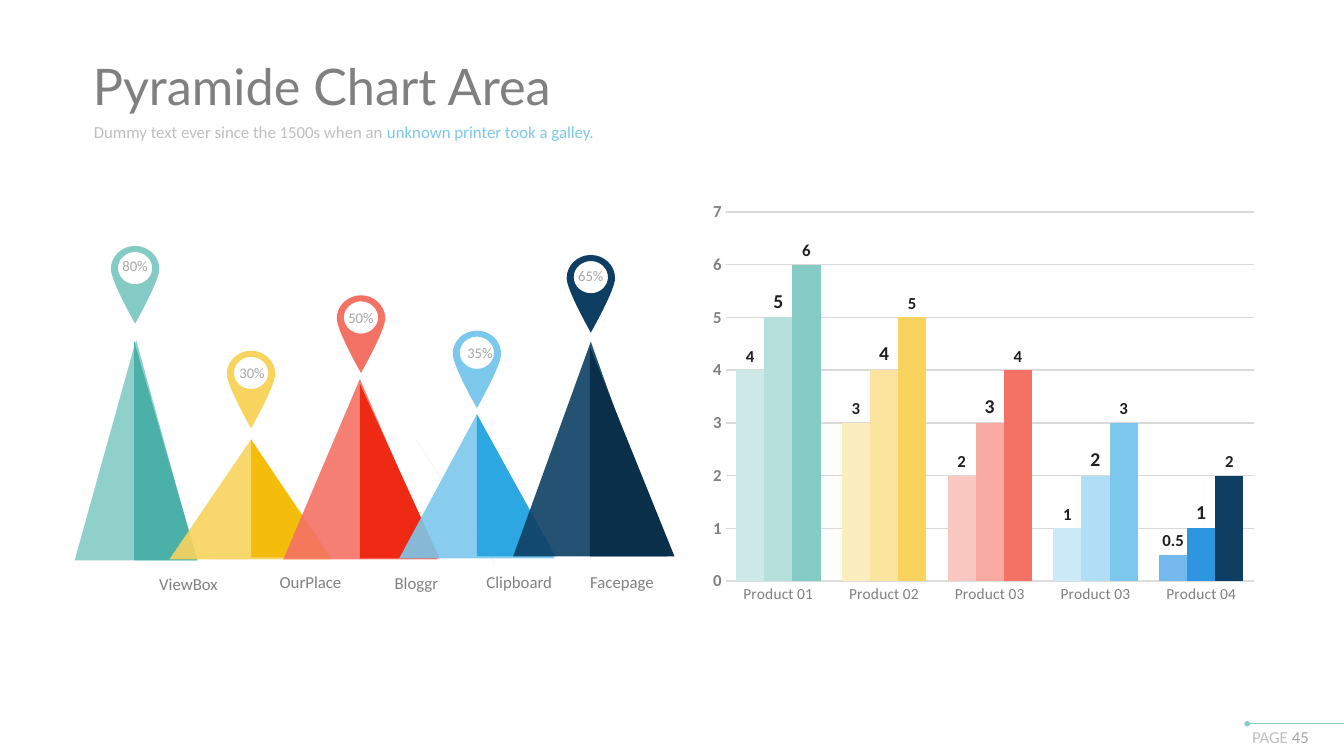
from lxml import etree
from pptx import Presentation
from pptx import util as u
from pptx.chart.data import CategoryChartData
from pptx.dml.color import RGBColor
from pptx.enum import chart as ch, shapes, text
from pptx.oxml import parse_xml
from pptx.oxml.ns import nsdecls, qn

GREY, SILVER, ASH, TEAL, SKY = "808080", "BFBFBF", "A6A6A6", "84CBC5", "7CC8EC"

# name, percent, light and dark colour,
# pin: centre x, top, percent shift x and y
# front: apex x, top, left, right, base;  side: apex x, top, right, base
# caption: left, top
PYRAMIDS = [
    ("ViewBox", "80%", TEAL, "4BB1A8", (60, 0, 0, 8),
     (61, 93, 0, 121, 312), (59, 94, 122, 312), (42, 310)),
    ("OurPlace", "30%", "F8D35E", "F4BD0C", (175, 104, 1, 10),
     (175, 192, 94, 254, 311), (175, 192, 254, 309), (163, 308)),
    ("Bloggr", "50%", "F47264", "EE2914", (284, 49, 0, 10),
     (283, 132, 207, 360, 311), (283, 137, 362, 310), (268, 309)),
    ("Clipboard", "35%", SKY, "2DA7E1", (399, 84, 3, 10),
     (399, 167, 322, 476, 310), (399, 167, 477, 308), (370, 308)),
    ("Facepage", "65%", "0E3F63", "0A2F4A", (512, 9, 0, 9),
     (512, 95, 435, 588, 308), (511, 100, 595, 308), (472, 308)),
]

# curve points of a pin around its top middle
DROP = [(0, 0), (-13, 0), (-24, 10), (-24, 23), (-24, 35), (0, 77), (0, 77),
        (0, 77), (24, 35), (24, 23), (24, 10), (13, 0), (0, 0)]
HOLE = [(0, 38), (-9, 38), (-17, 31), (-17, 22), (-17, 13), (-9, 6), (0, 6),
        (9, 6), (17, 13), (17, 22), (17, 31), (9, 38), (0, 38)]

CATEGORIES = ["Product 01", "Product 02", "Product 03", "Product 03", "Product 04"]
# values, label size, column colours
SERIES = [
    ((4, 3, 2, 1, 0.5), 12, ("CEEAE8", "FCEDBF", "FBC7C1", "CBE9F7", "74B9EB")),
    ((5, 4, 3, 2, 1), 14, ("B5E0DC", "FBE59E", "F8AAA2", "B0DEF4", "2E96E1")),
    ((6, 5, 4, 3, 2), 12, (TEAL, "F8D35E", "F47264", SKY, "0E3F63")),
]


def px(n):
    """100 px to the inch."""
    return u.Emu(round(n * 9144))


def rgb(code):
    return RGBColor.from_string(code)


def place(sp, x, y, w, h):
    sp.left, sp.top, sp.width, sp.height = px(x), px(y), px(w), px(h)


def set_font(f, size, color, name="Calibri", bold=False):
    f.size, f.name, f.bold = u.Pt(size), name, bold
    f.color.rgb = rgb(color)


def write(tf, runs, size, name="Calibri", align=text.PP_ALIGN.LEFT,
          anchor=text.MSO_ANCHOR.TOP):
    tf.word_wrap = True
    tf.auto_size = text.MSO_AUTO_SIZE.NONE
    tf.vertical_anchor = anchor
    p = tf.paragraphs[0]
    p.alignment = align
    p.space_before = u.Pt(0)
    for words, color in runs:
        r = p.add_run()
        r.text = words
        set_font(r.font, size, color, name)
    return p


def add_text(s, box, runs, size, **kw):
    sp = s.shapes.add_textbox(*map(px, box))
    write(sp.text_frame, runs, size, **kw)
    return sp


def outline(s, contours, color, opacity=100):
    """Filled shape from closed contours given in px."""
    first, *others = [[(px(x), px(y)) for x, y in c] for c in contours]
    fb = s.shapes.build_freeform(*first[0])
    fb.add_line_segments(first[1:])
    for c in others:
        fb.move_to(*c[0])
        fb.add_line_segments(c[1:])
    sp = fb.convert_to_shape()
    sp.shadow.inherit = False
    sp.line.fill.background()
    sp.fill.solid()
    sp.fill.fore_color.rgb = rgb(color)
    if opacity < 100:
        clr = sp.fill._xPr.find(qn("a:solidFill"))[0]
        etree.SubElement(clr, qn("a:alpha")).set("val", str(opacity * 1000))
    return sp


def pin(s, cx, top, color):
    sp = outline(s, [[(cx + x, top + y) for x, y in c] for c in (DROP, HOLE)], color)
    # every three points become one Bezier curve
    lines = list(sp._element.iter(qn("a:lnTo")))
    for i in range(0, len(lines), 3):
        bend = etree.Element(qn("a:cubicBezTo"))
        lines[i].addprevious(bend)
        for line in lines[i:i + 3]:
            bend.append(line[0])
            line.getparent().remove(line)


def header(s, x, y, w):
    title, body = s.placeholders[0], s.placeholders[1]
    place(title, x, y, w, 66)
    write(title.text_frame, [("Pyramide Chart Area", GREY)], 36, name="Lato")
    place(body, x + 1, y + 66, w - 113, 48)
    p = write(body.text_frame,
              [("Dummy text ever since the 1500s when an ", SILVER),
               ("unknown printer took a galley.", SKY)], 12)
    pPr = p._p.get_or_add_pPr()
    pPr.set("marL", "0")
    pPr.set("indent", "0")
    etree.SubElement(pPr, qn("a:buNone"))


def pyramid_area(s, x, y):
    # hairline behind the pyramids
    start, end = (x + 338, y + 191), (x + 417, y + 315)
    outline(s, [[start, end, start]], "CCCCCC")
    for name, percent, light, dark, marker, front, side, caption in PYRAMIDS:
        ax, top, left, right, base = front
        outline(s, [[(x + ax, y + top), (x + right, y + base), (x + left, y + base)]],
                light, 90)
        ax, top, right, base = side
        outline(s, [[(x + ax, y + top), (x + ax, y + base), (x + right, y + base)]], dark)
        # pin with its percentage
        cx, top, dx, dy = marker
        pin(s, x + cx, y + top, light)
        sp = add_text(s, (x + cx - 20 + dx, y + top + dy, 40, 24), [(percent, ASH)],
                      10.5, align=text.PP_ALIGN.CENTER)
        tf = sp.text_frame
        tf.margin_left = tf.margin_right = px(5)
        tf.margin_top = tf.margin_bottom = px(3)
        add_text(s, (x + caption[0], y + caption[1], 142, 51), [(name, GREY)], 12,
                 align=text.PP_ALIGN.CENTER, anchor=text.MSO_ANCHOR.MIDDLE)


def column_chart(s, x, y, w, h):
    data = CategoryChartData()
    data.categories = CATEGORIES
    for i, (values, _, _) in enumerate(SERIES, 1):
        data.add_series(f"Series {i}", values)
    chart = s.shapes.add_chart(ch.XL_CHART_TYPE.COLUMN_CLUSTERED,
                               *map(px, (x, y, w, h)), data).chart
    chart.has_legend = chart.has_title = False
    set_font(chart.font, 10, GREY, "Lato")

    # axes
    cat, val = chart.category_axis, chart.value_axis
    for axis, size, bold in ((cat, 11, False), (val, 12, True)):
        axis.major_tick_mark = axis.minor_tick_mark = ch.XL_TICK_MARK.NONE
        set_font(axis.tick_labels.font, size, GREY, bold=bold)
    val.minimum_scale, val.maximum_scale, val.major_unit = 0, 7, 1
    val.format.line.fill.background()
    val.has_major_gridlines = True
    for line, color in ((cat.format.line, "DDDDDD"),
                        (val.major_gridlines.format.line, "D9D9D9")):
        line.color.rgb = rgb(color)
        line.width = u.Pt(1)

    # columns and their labels
    plot = chart.plots[0]
    plot.gap_width, plot.overlap, plot.vary_by_categories = 75, 0, False
    for ser, (_, size, colors) in zip(plot.series, SERIES):
        ser.format.fill.solid()
        ser.format.fill.fore_color.rgb = rgb("FFFFFF")
        for i, color in enumerate(colors):
            fill = ser.points[i].format.fill
            fill.solid()
            fill.fore_color.rgb = rgb(color)
        labels = ser.data_labels
        labels.show_value = True
        labels.position = ch.XL_LABEL_POSITION.OUTSIDE_END
        set_font(labels.font, size, "1F1F1F", bold=True)

    # inner plot area as shares of the chart
    area = chart.element.find(".//" + qn("c:plotArea"))
    for old in area.findall(qn("c:layout")):
        area.remove(old)
    parts = "".join(f'<c:{k} val="{v}"/>' for k, v in (
        ("layoutTarget", "inner"), ("xMode", "edge"), ("yMode", "edge"),
        ("x", 0.043), ("y", 0.024), ("w", 0.818), ("h", 0.856)))
    area.insert(0, parse_xml(f'<c:layout {nsdecls("c")}><c:manualLayout>{parts}'
                             '</c:manualLayout></c:layout>'))


def page_mark(s, x, y):
    line = s.shapes.add_connector(shapes.MSO_CONNECTOR.STRAIGHT,
                                  px(x + 5), px(y + 2), px(x + 103), px(y + 2))
    line.line.color.rgb = rgb(TEAL)
    line.line.width = u.Pt(1)
    head = etree.SubElement(line.line._get_or_add_ln(), qn("a:headEnd"))
    for key, value in (("type", "oval"), ("w", "sm"), ("len", "sm")):
        head.set(key, value)
    etree.SubElement(line._element.spPr, qn("a:effectLst"))
    add_text(s, (x, y, 101, 30), [("PAGE ", SILVER), ("45", ASH)], 12)


def main():
    prs = Presentation()
    prs.slide_width, prs.slide_height = px(1333), px(750)
    s = prs.slides.add_slide(prs.slide_layouts[1])
    page_mark(s, 1232, 716)
    header(s, 82, 50, 695)
    column_chart(s, 692, 200, 641, 428)
    pyramid_area(s, 74, 244)
    prs.save("out.pptx")


if __name__ == "__main__":
    main()
